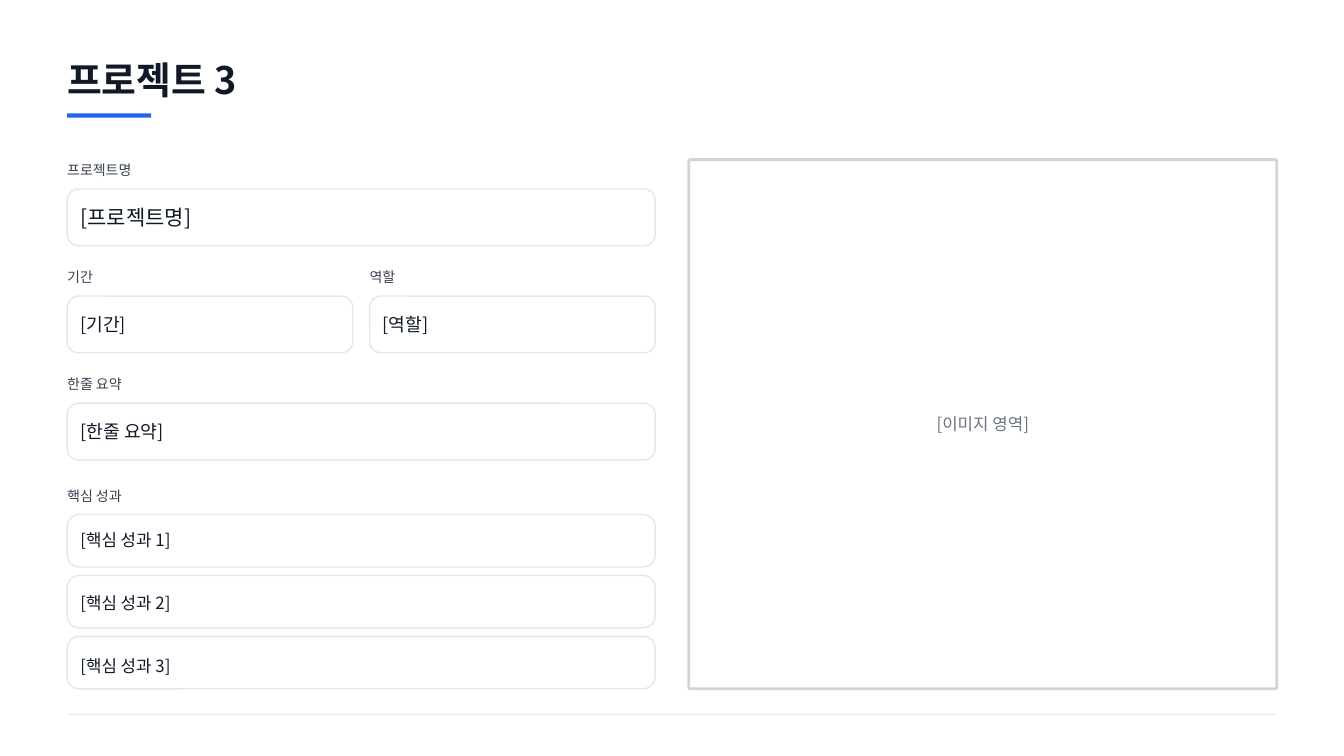
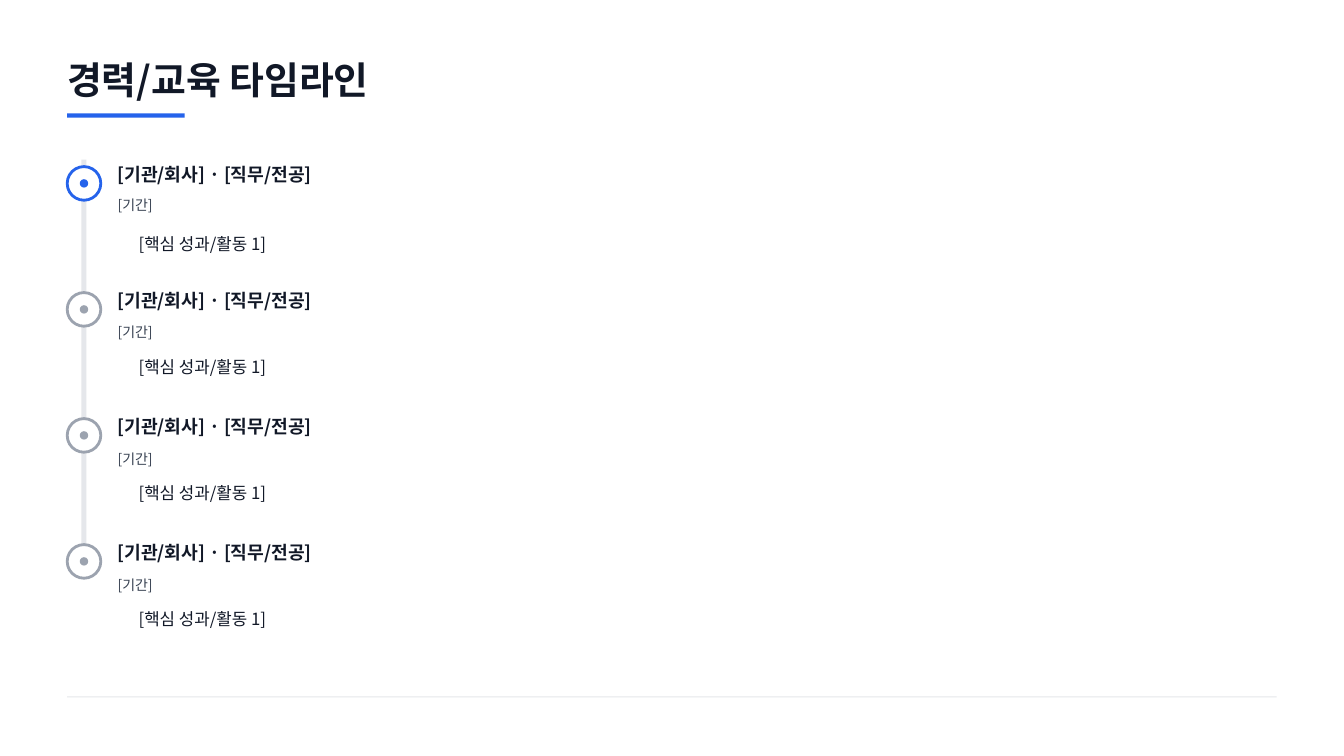
from dataclasses import dataclass

from lxml import etree
from pptx import Presentation
from pptx.dml.color import RGBColor
from pptx.enum.shapes import MSO_SHAPE
from pptx.enum.text import MSO_ANCHOR
from pptx.oxml.ns import qn
from pptx.slide import Slide
from pptx.util import Pt

RECTANGLE = MSO_SHAPE.RECTANGLE
ROUNDED = MSO_SHAPE.ROUNDED_RECTANGLE
MIDDLE = MSO_ANCHOR.MIDDLE

FONT = "Noto Sans CJK KR"
INK = RGBColor(0x11, 0x18, 0x27)
LABEL = RGBColor(0x37, 0x41, 0x51)
HINT = RGBColor(0x6B, 0x72, 0x80)
ACCENT = RGBColor(0x25, 0x63, 0xEB)
MUTED = RGBColor(0x9C, 0xA3, 0xAF)
BORDER = RGBColor(0xE5, 0xE7, 0xEB)
FRAME_LINE = RGBColor(0xD1, 0xD5, 0xDB)
WHITE = RGBColor(0xFF, 0xFF, 0xFF)

PAGE_WIDTH, PAGE_HEIGHT = 960, 540
MARGIN = 48
CONTENT_WIDTH = PAGE_WIDTH - 2 * MARGIN
CONTENT_TOP = 114
COLUMN_WIDTH = 420
HALF_WIDTH = 204
HALF_GAP = 12
IMAGE_LEFT = PAGE_WIDTH - MARGIN - COLUMN_WIDTH
IMAGE_HEIGHT = 378
FIELD_PITCH = 76.5
FIELD_HEIGHT = 40.5
FIELD_DROP = 21
FIELD_PADDING = 9.5
LABEL_HEIGHT = 15
OUTCOME_LABEL_TOP = 346.5
OUTCOME_TOP = 367.5
OUTCOME_HEIGHT = 37.5
OUTCOME_PITCH = 43.5
RING_TOP = 119
RING_SIZE = 24
DOT_SIZE = 6
RAIL_WIDTH = 3.6
MILESTONE_PITCH = 90
MILESTONE_TEXT_LEFT = 84
DETAIL_LEFT = 99


@dataclass(frozen=True)
class Field:
    label: str
    text: str
    row: int
    left: float = MARGIN
    width: float = COLUMN_WIDTH
    size: float = 13


@dataclass(frozen=True)
class Outcome:
    text: str
    text_shift: float


@dataclass(frozen=True)
class Milestone:
    color: RGBColor
    period_center: float
    detail_center: float
    heading: str = "[기관/회사] · [직무/전공]"
    period: str = "[기간]"
    detail: str = "[핵심 성과/활동 1]"


FIELDS = (
    Field("프로젝트명", "[프로젝트명]", 0, size=15),
    Field("기간", "[기간]", 1, width=HALF_WIDTH),
    Field("역할", "[역할]", 1, left=MARGIN + HALF_WIDTH + HALF_GAP, width=HALF_WIDTH),
    Field("한줄 요약", "[한줄 요약]", 2),
)
OUTCOMES = (
    Outcome("[핵심 성과 1]", -1),
    Outcome("[핵심 성과 2]", 1),
    Outcome("[핵심 성과 3]", 2),
)
MILESTONES = (
    Milestone(ACCENT, 27.5, 55),
    Milestone(MUTED, 28, 52.7),
    Milestone(MUTED, 29, 52.7),
    Milestone(MUTED, 29, 52.7),
)


def add_text(page: Slide, text: str, *, left: float, center: float,
             width: float = COLUMN_WIDTH, height: float = 20, size: float = 12,
             color: RGBColor = INK, bold: bool = False) -> None:
    box = page.shapes.add_textbox(Pt(left), Pt(center - height / 2), Pt(width), Pt(height))
    frame = box.text_frame
    frame.word_wrap = True
    frame.vertical_anchor = MIDDLE
    frame.margin_left = frame.margin_right = frame.margin_top = frame.margin_bottom = 0
    span = frame.paragraphs[0].add_run()
    span.text = text
    font = span.font
    font.name = FONT
    font.size = Pt(size)
    font.bold = bold
    font.color.rgb = color
    etree.SubElement(span._r.get_or_add_rPr(), qn("a:ea"), typeface=FONT)


def add_block(page: Slide, left: float, top: float, width: float, height: float, *,
              fill: RGBColor | None = None, line: RGBColor | None = None,
              line_width: float = 1, rounding: float | None = None) -> None:
    kind = RECTANGLE if rounding is None else ROUNDED
    block = page.shapes.add_shape(kind, Pt(left), Pt(top), Pt(width), Pt(height))
    block.shadow.inherit = False
    if rounding is not None:
        block.adjustments[0] = rounding
    if fill is None:
        block.fill.background()
    else:
        block.fill.solid()
        block.fill.fore_color.rgb = fill
    if line is None:
        block.line.fill.background()
    else:
        block.line.color.rgb = line
        block.line.width = Pt(line_width)


def add_page(deck: Presentation, title: str, accent_width: float, footer_top: float) -> Slide:
    page = deck.slides.add_slide(deck.slide_layouts[6])
    page.background.fill.solid()
    page.background.fill.fore_color.rgb = WHITE
    add_text(page, title, left=MARGIN, center=57, height=39, size=27, bold=True)
    add_block(page, MARGIN, 81, accent_width, 3, fill=ACCENT)
    add_block(page, MARGIN, footer_top, CONTENT_WIDTH, 0.75, fill=BORDER)
    return page


def add_label(page: Slide, text: str, left: float, top: float) -> None:
    add_text(page, text, left=left, center=top + LABEL_HEIGHT / 2, width=HALF_WIDTH,
             height=LABEL_HEIGHT, size=10, color=LABEL)


def add_field(page: Slide, field: Field) -> None:
    label_top = CONTENT_TOP + field.row * FIELD_PITCH
    top = label_top + FIELD_DROP
    add_label(page, field.label, field.left, label_top)
    add_block(page, field.left, top, field.width, FIELD_HEIGHT, line=BORDER, rounding=0.2)
    add_text(page, field.text, left=field.left + FIELD_PADDING, center=top + FIELD_HEIGHT / 2,
             width=field.width - 2 * FIELD_PADDING, size=field.size)


def add_outcome(page: Slide, outcome: Outcome, top: float) -> None:
    add_block(page, MARGIN, top, COLUMN_WIDTH, OUTCOME_HEIGHT, line=BORDER, rounding=0.23)
    add_text(page, outcome.text, left=MARGIN + FIELD_PADDING,
             center=top + OUTCOME_HEIGHT / 2 + outcome.text_shift,
             width=COLUMN_WIDTH - 2 * FIELD_PADDING)


def add_milestone(page: Slide, milestone: Milestone, top: float) -> None:
    inset = (RING_SIZE - DOT_SIZE) / 2
    add_block(page, MARGIN, top, RING_SIZE, RING_SIZE, fill=WHITE,
              line=milestone.color, line_width=2, rounding=0.5)
    add_block(page, MARGIN + inset, top + inset, DOT_SIZE, DOT_SIZE,
              fill=milestone.color, rounding=0.5)
    add_text(page, milestone.heading, left=MILESTONE_TEXT_LEFT, center=top + 5.3,
             size=13, bold=True)
    add_text(page, milestone.period, left=MILESTONE_TEXT_LEFT,
             center=top + milestone.period_center, size=10, color=LABEL)
    add_text(page, milestone.detail, left=DETAIL_LEFT, center=top + milestone.detail_center)


def build_project(deck: Presentation) -> None:
    page = add_page(deck, "프로젝트 3", accent_width=60, footer_top=510)
    for field in FIELDS:
        add_field(page, field)
    add_label(page, "핵심 성과", MARGIN, OUTCOME_LABEL_TOP)
    for index, outcome in enumerate(OUTCOMES):
        add_outcome(page, outcome, OUTCOME_TOP + index * OUTCOME_PITCH)
    add_block(page, IMAGE_LEFT, CONTENT_TOP, COLUMN_WIDTH, IMAGE_HEIGHT,
              line=FRAME_LINE, line_width=2, rounding=0.003)
    add_text(page, "[이미지 영역]", left=669, center=CONTENT_TOP + IMAGE_HEIGHT / 2,
             width=84, color=HINT)


def build_timeline(deck: Presentation) -> None:
    page = add_page(deck, "경력/교육 타임라인", accent_width=84, footer_top=497.5)
    rail_left = MARGIN + (RING_SIZE - RAIL_WIDTH) / 2
    add_block(page, rail_left, CONTENT_TOP, RAIL_WIDTH, 274.5, fill=BORDER)
    for index, milestone in enumerate(MILESTONES):
        add_milestone(page, milestone, RING_TOP + index * MILESTONE_PITCH)


def main() -> None:
    deck = Presentation()
    deck.slide_width = Pt(PAGE_WIDTH)
    deck.slide_height = Pt(PAGE_HEIGHT)
    build_project(deck)
    build_timeline(deck)
    deck.save("out.pptx")


if __name__ == "__main__":
    main()
